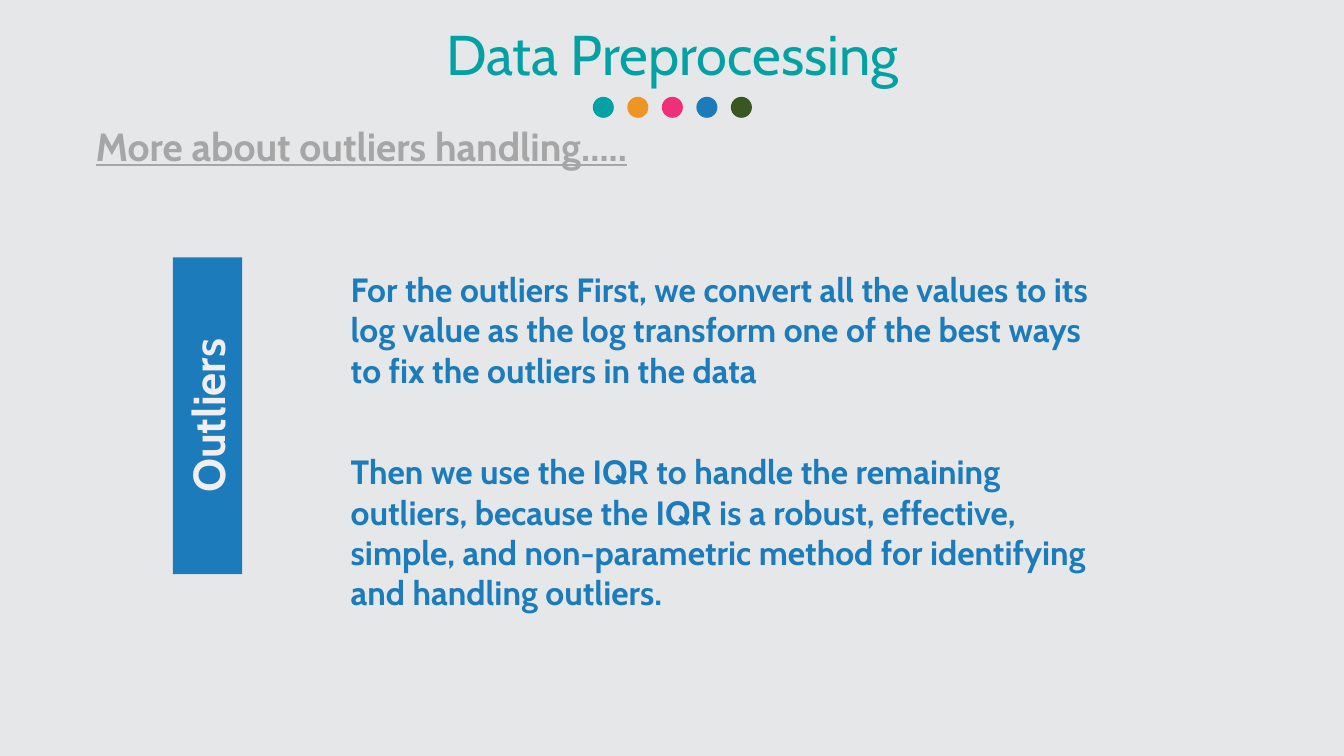
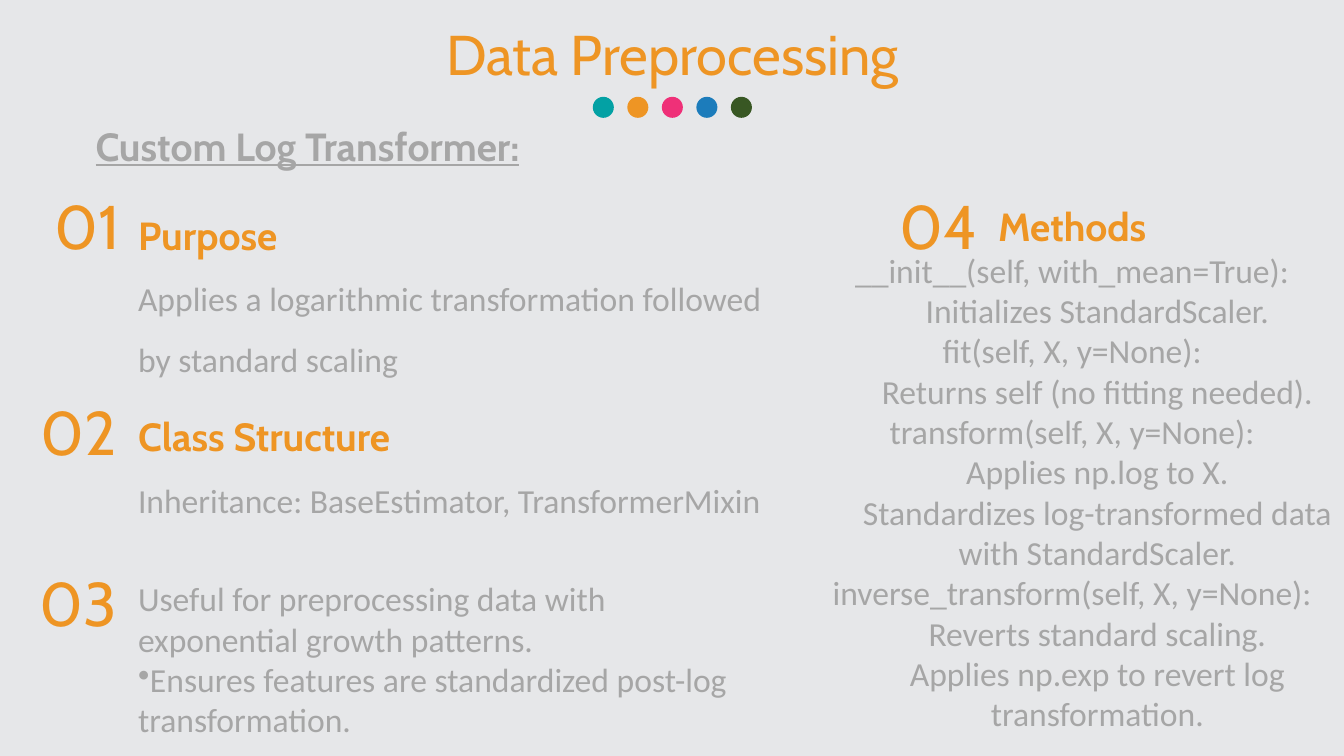
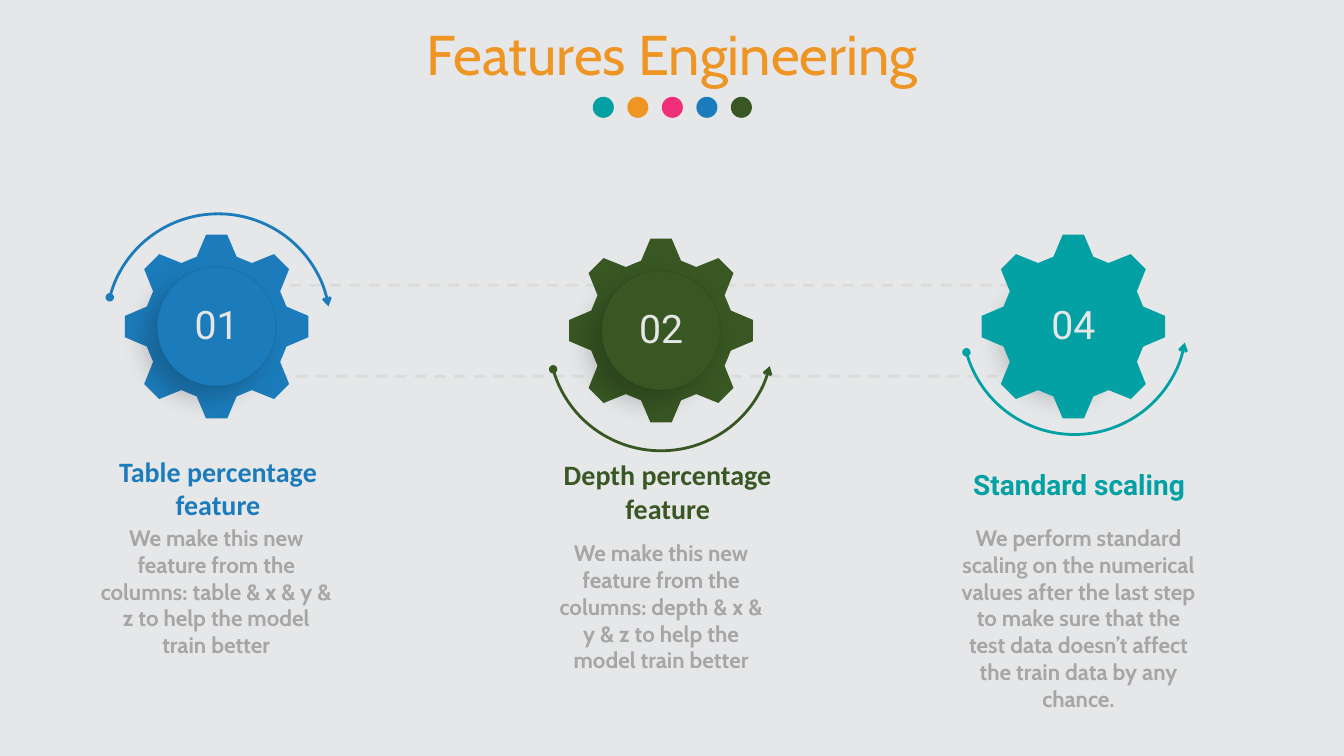
from math import cos, radians, sin

from lxml.etree import SubElement
from pptx import Presentation
from pptx.dml.color import RGBColor
from pptx.enum.dml import MSO_LINE
from pptx.enum.shapes import MSO_SHAPE
from pptx.enum.text import MSO_ANCHOR, PP_ALIGN
from pptx.oxml.ns import qn
from pptx.util import Cm, Pt

LEFT, MID, RIGHT = PP_ALIGN.LEFT, PP_ALIGN.CENTER, PP_ALIGN.RIGHT
TOP, CORE = MSO_ANCHOR.TOP, MSO_ANCHOR.MIDDLE
RECT, OVAL = MSO_SHAPE.RECTANGLE, MSO_SHAPE.OVAL
ROUND, ARC = MSO_SHAPE.ROUNDED_RECTANGLE, MSO_SHAPE.ARC
DASH = MSO_LINE.DASH

PAPER = RGBColor(0xE6, 0xE7, 0xE9)
TEAL = RGBColor(0x03, 0xA1, 0xA4)
GOLD = RGBColor(0xEE, 0x95, 0x24)
PINK = RGBColor(0xEF, 0x30, 0x78)
BLUE = RGBColor(0x1C, 0x7C, 0xBB)
GREEN = RGBColor(0x38, 0x57, 0x23)
GRAY = RGBColor(0xA6, 0xA6, 0xA6)
SILVER = RGBColor(0xDB, 0xDB, 0xDB)
WHITE = RGBColor(0xF0, 0xEE, 0xF0)
PALE = RGBColor(0xE7, 0xE6, 0xE6)
BLACK = RGBColor(0, 0, 0)

WIDTH, HEIGHT = 33.87, 19.05


def face(name, size, **more):
    return {"name": name, "size": Pt(size), **more}


TITLE = face("Cabin", 40)
HEAD = face("Cabin", 28, bold=True, underline=True)
TOPIC = face("Cabin", 28, bold=True)
COUNT = face("Cabin", 44)
SIDE = face("Cabin", 32, bold=True)
STRONG = face("Cabin", 24, bold=True)
PLAIN = face("Calibri", 24)
NOTE = face("Cabin", 16, bold=True)
LABEL = face("Calibri", 20, bold=True)
SCALE = face("Roboto", 20, bold=True)
DIGIT = face("Roboto", 28)


class Deck:
    def __init__(self):
        self.show = Presentation()
        self.show.slide_width = Cm(WIDTH)
        self.show.slide_height = Cm(HEIGHT)
        self.slide = None

    def page(self, title, color):
        self.slide = self.show.slides.add_slide(self.show.slide_layouts[6])
        ground = self.slide.background.fill
        ground.solid()
        ground.fore_color.rgb = PAPER
        self.text((6.83, 0.36, 20.22, 1.96), [(title, TITLE, color)], MID)
        for i, tint in enumerate((TEAL, GOLD, PINK, BLUE, GREEN)):
            self.shape(OVAL, (14.94 + 0.87 * i, 2.44, 0.53, 0.53), tint)

    def head(self, words):
        self.text((2.16, 2.36, 32.99, 1.85), [(words, HEAD, GRAY)], gap=1.5)

    def put(self, frame, lines, align=LEFT, gap=1.0):
        frame.word_wrap = True
        for i, (words, style, color, *marks) in enumerate(lines):
            para = frame.paragraphs[0] if i == 0 else frame.add_paragraph()
            para.alignment = align
            para.line_spacing = gap
            run = para.add_run()
            run.text = words
            run.font.color.rgb = color
            for key, value in style.items():
                setattr(run.font, key, value)
            props = para._p.get_or_add_pPr()
            if "indent" in marks:
                props.set("marL", str(Cm(1.27)))
            if "bullet" in marks:
                SubElement(props, qn("a:buChar"), char="•")

    def text(self, box, lines, align=LEFT, gap=1.0, anchor=TOP):
        frame = self.slide.shapes.add_textbox(*map(Cm, box)).text_frame
        frame.vertical_anchor = anchor
        self.put(frame, lines, align, gap)

    def paint(self, shape, color):
        shape.shadow.inherit = False
        if color is None:
            shape.fill.background()
        else:
            shape.fill.solid()
            shape.fill.fore_color.rgb = color
        shape.line.fill.background()
        return shape

    def shape(self, kind, box, color=None):
        item = self.slide.shapes.add_shape(kind, *map(Cm, box))
        return self.paint(item, color)

    def bar(self, box, words, color):
        bar = self.shape(RECT, box, color)
        bar.rotation = 270
        bar.text_frame.vertical_anchor = CORE
        self.put(bar.text_frame, [(words, SIDE, WHITE)], MID)

    def rail(self, box):
        rail = self.shape(ROUND, box)
        rail.adjustments[0] = 0.5
        rail.line.color.rgb = SILVER
        rail.line.width = Pt(2)
        rail.line.dash_style = DASH

    def gear(self, x, y, color):
        def spot(angle, reach):
            turn = radians(angle)
            return Cm(x + reach * sin(turn)), Cm(y - reach * cos(turn))

        tooth = ((-22.5, 1.82), (-16, 1.83), (-6.6, 2.33), (6.6, 2.33), (16, 1.83))
        rim = [spot(45 * i + turn, reach) for i in range(8) for turn, reach in tooth]
        hole = [spot(-10 * i, 0.81) for i in range(36)]
        form = self.slide.shapes.build_freeform(*rim[0])
        form.add_line_segments(rim[1:])
        form.move_to(*hole[0])
        form.add_line_segments(hole[1:])
        self.paint(form.convert_to_shape(), color)

    def disc(self, x, y, words, color):
        disc = self.shape(OVAL, (x - 1.5, y - 1.5, 3, 3), color)
        disc.line.color.rgb = BLACK
        disc.line.width = Pt(1)
        props = disc._element.spPr
        edge = props.find(qn("a:ln")).find(".//" + qn("a:srgbClr"))
        SubElement(edge, qn("a:alpha"), val="5000")
        cast = SubElement(props.find(qn("a:effectLst")), qn("a:outerShdw"),
                          blurRad=str(Pt(18)), dist=str(Pt(13)), dir="8100000",
                          algn="tr", rotWithShape="0")
        shade = SubElement(cast, qn("a:srgbClr"), val="000000")
        SubElement(shade, qn("a:alpha"), val="20000")
        frame = disc.text_frame
        frame.vertical_anchor = CORE
        for side in ("left", "top", "right", "bottom"):
            setattr(frame, "margin_" + side, 0)
        self.put(frame, [(words, DIGIT, PALE)], MID, 0.9)

    def arc(self, x, y, start, end, color, flip):
        arc = self.shape(ARC, (x - 2.82, y - 2.79, 5.64, 5.59))
        arc.adjustments[0] = start
        arc.adjustments[1] = end
        arc.line.color.rgb = color
        arc.line.width = Pt(2)
        props = arc._element.spPr
        if flip:
            props.find(qn("a:xfrm")).set("flipV", "1")
        line = props.find(qn("a:ln"))
        SubElement(line, qn("a:headEnd"), type="oval")
        SubElement(line, qn("a:tailEnd"), type="arrow")


def outliers(deck):
    deck.page("Data Preprocessing", TEAL)
    deck.head("More about outliers handling…..")
    deck.bar((1.24, 9.6, 7.98, 1.75), "Outliers", BLUE)
    for y, words in (
        (6.65, "For the outliers First, we convert all the values to its log value "
               "as the log transform one of the best ways to fix the outliers in the data"),
        (11.25, "Then we use the IQR to handle the remaining outliers, because the IQR "
                "is a robust, effective, simple, and non-parametric method for "
                "identifying and handling outliers."),
    ):
        deck.text((8.59, y, 19.15, 4.37), [(words, STRONG, BLUE)])


def custom(deck):
    deck.page("Data Preprocessing", GOLD)
    deck.head("Custom Log Transformer:")
    for y, gap, lines in (
        (4.6, 1.5, [("Purpose", TOPIC, GOLD),
                    ("Applies a logarithmic transformation followed by standard scaling",
                     PLAIN, GRAY)]),
        (9.68, 1.5, [("Class Structure", TOPIC, GOLD),
                     ("Inheritance: BaseEstimator, TransformerMixin", PLAIN, GRAY)]),
        (14.45, 1.0, [("Useful for preprocessing data with exponential growth patterns.",
                       PLAIN, GRAY),
                      ("Ensures features are standardized post-log transformation.",
                       PLAIN, GRAY, "bullet")]),
    ):
        deck.text((3.23, y, 16.51, 4.37), lines, gap=gap)
    calls = (
        ("__init__(self, with_mean=True):", "Initializes StandardScaler."),
        ("fit(self, X, y=None):", "Returns self (no fitting needed)."),
        ("transform(self, X, y=None):", "Applies np.log to X.",
         "Standardizes log-transformed data with StandardScaler."),
        ("inverse_transform(self, X, y=None):", "Reverts standard scaling.",
         "Applies np.exp to revert log transformation."),
    )
    lines = [("Methods", TOPIC, GOLD)]
    for call, *notes in calls:
        lines.append((call, PLAIN, GRAY))
        lines += [(note, PLAIN, GRAY, "indent") for note in notes]
    deck.text((19.63, 4.98, 14.78, 13.77), lines, MID)
    spots = ((0.28, 4.62), (0.2, 9.8), (0.2, 14.1), (21.89, 4.62))
    for i, (x, y) in enumerate(spots, 1):
        deck.text((x, y, 3, 2.13), [(f"{i:02}", COUNT, GOLD)], RIGHT)


def features(deck):
    deck.page("Features Engineering", GOLD)
    deck.rail((3.99, 7.19, 24.51, 2.29))
    for x, y, digit, color, under in (
        (16.66, 8.33, "02", GREEN, False),
        (5.46, 8.23, "01", BLUE, False),
        (27.05, 8.23, "04", TEAL, True),
    ):
        if under:
            deck.disc(x, y, digit, color)
        deck.gear(x, y, color)
        if not under:
            deck.disc(x, y, digit, color)
    deck.arc(27.08, 8.15, 116.92, 210.13, TEAL, True)
    deck.arc(16.66, 8.56, 117.16, 207.86, GREEN, True)
    deck.arc(5.5, 8.18, 116.53, 210.31, BLUE, False)
    for spot, label, style, color, box, note in (
        ((2.51, 11.43), "Table percentage feature", LABEL, BLUE,
         (2.29, 13.08, 6.32, 4.14),
         "We make this new feature from the columns: table & x & y & z "
         "to help the model train better"),
        ((13.84, 11.51), "Depth percentage feature", LABEL, GREEN,
         (13.69, 13.46, 5.94, 4.14),
         "We make this new feature from the columns: depth & x & y & z "
         "to help the model train better"),
        ((24.21, 11.35), "Standard scaling", SCALE, TEAL,
         (23.88, 13.08, 6.6, 4.52),
         "We perform standard scaling on the numerical values after the last step "
         "to make sure that the test data doesn’t affect the train data by any chance."),
    ):
        deck.text((*spot, 5.97, 1.73), [(label, style, color)], MID, anchor=CORE)
        deck.text(box, [(note, NOTE, GRAY)], MID)


def main():
    deck = Deck()
    outliers(deck)
    custom(deck)
    features(deck)
    deck.show.save("out.pptx")


if __name__ == "__main__":
    main()
